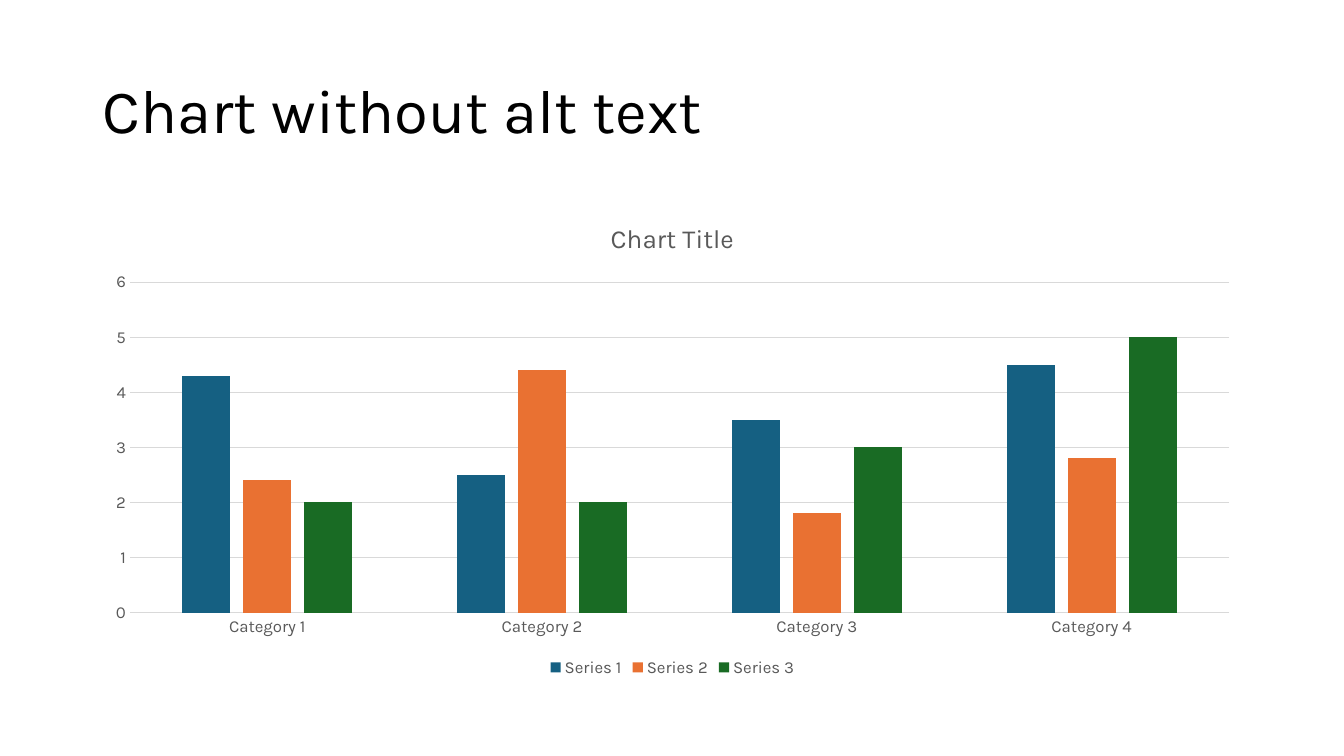
from dataclasses import dataclass

from pptx import Presentation
from pptx.chart.data import CategoryChartData
from pptx.dml.color import RGBColor
from pptx.enum.chart import XL_CHART_TYPE as ChartType
from pptx.enum.chart import XL_LEGEND_POSITION as LegendPosition
from pptx.enum.chart import XL_TICK_MARK as TickMark
from pptx.enum.text import MSO_ANCHOR as Anchor
from pptx.enum.text import PP_ALIGN as Align
from pptx.util import Inches, Pt


@dataclass(frozen=True)
class Theme:
    face: str = "Karla"
    ink: str = "000000"
    label: str = "595959"
    rule: str = "D9D9D9"
    series: tuple = ("156082", "E97132", "196B24")
    heading_size: float = 44
    caption_size: float = 18.6
    label_size: float = 12


def style_font(font, size, color):
    for attribute, value in {"name": theme.face, "size": Pt(size), "bold": False}.items():
        setattr(font, attribute, value)
    font.color.rgb = RGBColor.from_string(color)


def style_line(line):
    line.color.rgb = RGBColor.from_string(theme.rule)
    line.width = Pt(0.75)


theme = Theme()
deck = Presentation()
deck.slide_width, deck.slide_height = Inches(13.33), Inches(7.5)
slide = deck.slides.add_slide(deck.slide_layouts[5])

margin = Inches(0.92)
content_width = Inches(11.5)

heading = slide.shapes.title
heading_box = {"left": margin, "top": Inches(0.4), "width": content_width, "height": Inches(1.45)}
for attribute, value in heading_box.items():
    setattr(heading, attribute, value)
heading.text_frame.text = "Chart without alt text"
heading.text_frame.vertical_anchor = Anchor.MIDDLE
heading_line = heading.text_frame.paragraphs[0]
heading_line.alignment = Align.LEFT
heading_line.line_spacing = 0.9
style_font(heading_line.runs[0].font, theme.heading_size, theme.ink)

scores = CategoryChartData()
scores.categories = [f"Category {number}" for number in range(1, 5)]
for name, values in {
    "Series 1": (4.3, 2.5, 3.5, 4.5),
    "Series 2": (2.4, 4.4, 1.8, 2.8),
    "Series 3": (2, 2, 3, 5),
}.items():
    scores.add_series(name, values)

chart = slide.shapes.add_chart(
    ChartType.COLUMN_CLUSTERED, margin, Inches(2), content_width, Inches(4.76), scores
).chart
style_font(chart.font, theme.label_size, theme.label)

chart.has_title = True
caption = chart.chart_title.text_frame
caption.text = "Chart Title"
style_font(caption.paragraphs[0].runs[0].font, theme.caption_size, theme.label)
chart.chart_title.include_in_layout = False

chart.has_legend = True
chart.legend.position = LegendPosition.BOTTOM
chart.legend.include_in_layout = False
style_font(chart.legend.font, theme.label_size, theme.label)

columns = chart.plots[0]
for attribute, value in {"gap_width": 219, "overlap": -27, "vary_by_categories": False}.items():
    setattr(columns, attribute, value)
for series, color in zip(columns.series, theme.series):
    series.format.fill.solid()
    series.format.fill.fore_color.rgb = RGBColor.from_string(color)
    series.invert_if_negative = False

for axis in (chart.category_axis, chart.value_axis):
    axis.major_tick_mark = axis.minor_tick_mark = TickMark.NONE
    style_font(axis.tick_labels.font, theme.label_size, theme.label)
style_line(chart.category_axis.format.line)
for attribute, value in {"minimum_scale": 0, "maximum_scale": 6, "major_unit": 1}.items():
    setattr(chart.value_axis, attribute, value)
chart.value_axis.format.line.fill.background()
style_line(chart.value_axis.major_gridlines.format.line)

deck.save("out.pptx")
